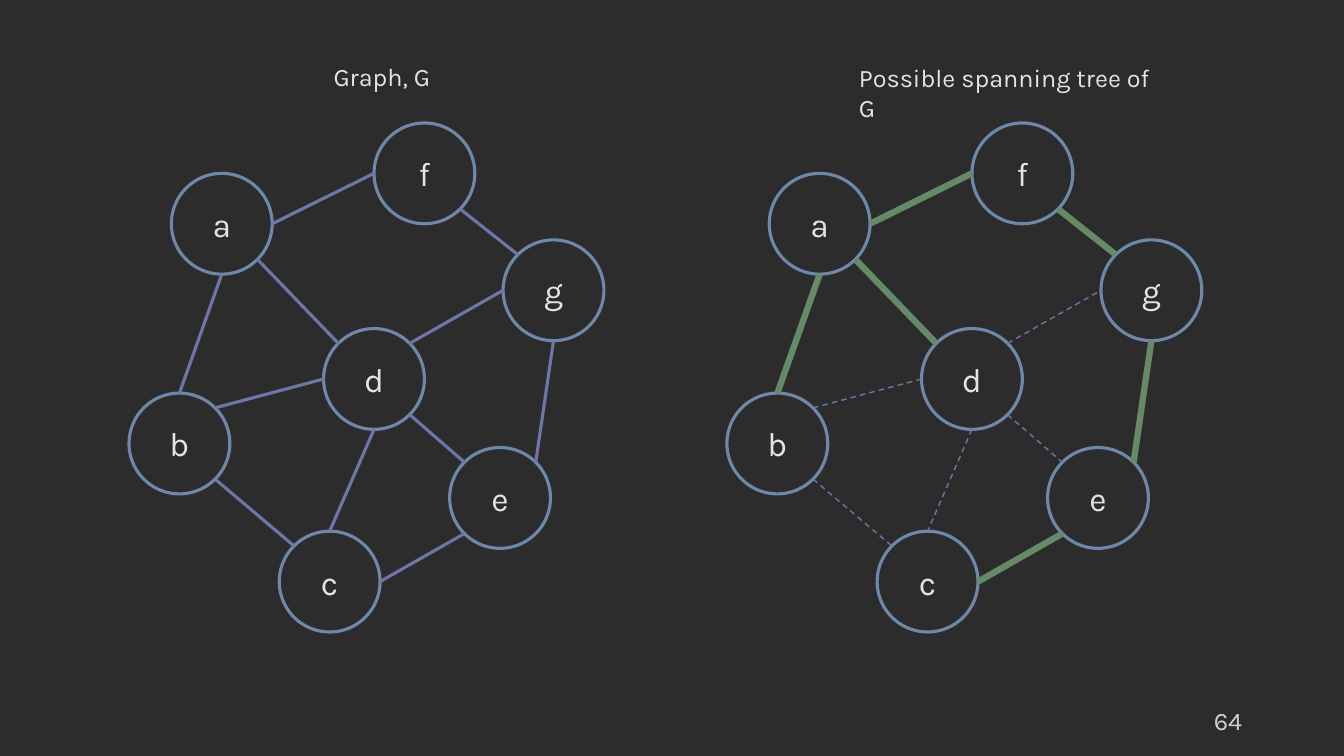
from math import cos, radians, sin

from lxml.etree import SubElement
from pptx import Presentation
from pptx.dml.color import RGBColor
from pptx.enum.dml import MSO_LINE
from pptx.enum.shapes import MSO_CONNECTOR, MSO_SHAPE
from pptx.enum.text import MSO_ANCHOR, MSO_AUTO_SIZE, PP_ALIGN
from pptx.oxml.ns import qn
from pptx.util import Inches, Pt

BACKGROUND = RGBColor(0x2C, 0x2C, 0x2C)
TEXT = RGBColor(0xE4, 0xE4, 0xE4)
PAGE_NUMBER = RGBColor(0xD1, 0xD1, 0xD1)
NODE_LINE = RGBColor(0x6D, 0x88, 0xA8)
EDGE = RGBColor(0x6E, 0x75, 0xA8)
TREE_EDGE = RGBColor(0x66, 0x8A, 0x68)

FONT = "Karla"
DIAMETER = 1
TREE_OFFSET = 5.93  # distance from the graph to its spanning tree

# Top left corner of each node
NODES = {
    "c": (2.77, 5.27),
    "b": (1.28, 3.9),
    "d": (3.21, 3.26),
    "a": (1.7, 1.72),
    "f": (3.71, 1.22),
    "e": (4.46, 4.44),
    "g": (4.99, 2.38),
}

# Points on a node's rim, in degrees clockwise from the right
RIM = {"E": 0, "SE": 45, "S": 90, "SW": 135, "W": 180, "NW": 225, "N": 270, "NE": 315}

# From node and side, to node and side, part of the spanning tree
EDGES = [
    ("a", "S", "b", "N", True),
    ("a", "E", "f", "W", True),
    ("g", "NW", "f", "SE", True),
    ("g", "S", "e", "NE", True),
    ("e", "SW", "c", "E", True),
    ("b", "SE", "c", "NW", False),
    ("a", "SE", "d", "NW", True),
    ("b", "NE", "d", "W", False),
    ("d", "SE", "e", "NW", False),
    ("d", "NE", "g", "W", False),
    ("d", "S", "c", "N", False),
]


def write(tf, text, size=18, color=TEXT, align=PP_ALIGN.LEFT, anchor=MSO_ANCHOR.TOP):
    tf.vertical_anchor = anchor
    p = tf.paragraphs[0]
    p.alignment = align
    r = p.add_run()
    r.text = text
    r.font.name = FONT
    r.font.size = Pt(size)
    r.font.color.rgb = color


def rim_point(node, side, offset):
    left, top = NODES[node]
    angle, radius = radians(RIM[side]), DIAMETER / 2
    return (Inches(left + offset + radius * (1 + cos(angle))),
            Inches(top + radius * (1 + sin(angle))))


class GraphSlide:
    def __init__(self, prs):
        self.s = prs.slides.add_slide(prs.slide_layouts[6])
        fill = self.s.background.fill
        fill.solid()
        fill.fore_color.rgb = BACKGROUND

    def text(self, text, left, top, width, wrap=True, grow=True, **style):
        sp = self.s.shapes.add_textbox(Inches(left), Inches(top), Inches(width), Inches(0.4))
        tf = sp.text_frame
        tf.word_wrap = wrap
        tf.auto_size = MSO_AUTO_SIZE.SHAPE_TO_FIT_TEXT if grow else MSO_AUTO_SIZE.NONE
        write(tf, text, **style)

    def node(self, name, offset):
        left, top = NODES[name]
        sp = self.s.shapes.add_shape(MSO_SHAPE.OVAL, Inches(left + offset), Inches(top),
                                     Inches(DIAMETER), Inches(DIAMETER))
        sp.shadow.inherit = False
        sp.fill.background()
        sp.line.color.rgb = NODE_LINE
        sp.line.width = Pt(2.25)
        write(sp.text_frame, name, size=24, align=PP_ALIGN.CENTER, anchor=MSO_ANCHOR.MIDDLE)

    def edge(self, start, end, color=EDGE, width=2.25, dash=None):
        line = self.s.shapes.add_connector(MSO_CONNECTOR.STRAIGHT, *start, *end)
        line.line.color.rgb = color
        line.line.width = Pt(width)
        if dash:
            line.line.dash_style = dash
        SubElement(line._element.spPr, qn("a:effectLst"))

    def graph(self, offset=0, spanning=False):
        for name in NODES:
            self.node(name, offset)
        for a, a_side, b, b_side, in_tree in EDGES:
            style = {}
            if spanning and in_tree:
                style = {"color": TREE_EDGE, "width": 4.5}
            elif spanning:
                style = {"width": 1, "dash": MSO_LINE.DASH}
            self.edge(rim_point(a, a_side, offset), rim_point(b, b_side, offset), **style)


def main():
    prs = Presentation()
    prs.slide_width, prs.slide_height = Inches(13.33), Inches(7.5)
    slide = GraphSlide(prs)

    # Page number
    slide.text("64", 9.42, 6.95, 3, grow=False, color=PAGE_NUMBER,
               align=PP_ALIGN.RIGHT, anchor=MSO_ANCHOR.MIDDLE)

    # Graph and its spanning tree
    slide.graph()
    slide.graph(TREE_OFFSET, spanning=True)

    # Titles
    slide.text("Graph, G", 3.21, 0.56, 1.17, wrap=False)
    slide.text("Possible spanning tree of G", 8.42, 0.57, 3.14)

    prs.save("out.pptx")


if __name__ == "__main__":
    main()
